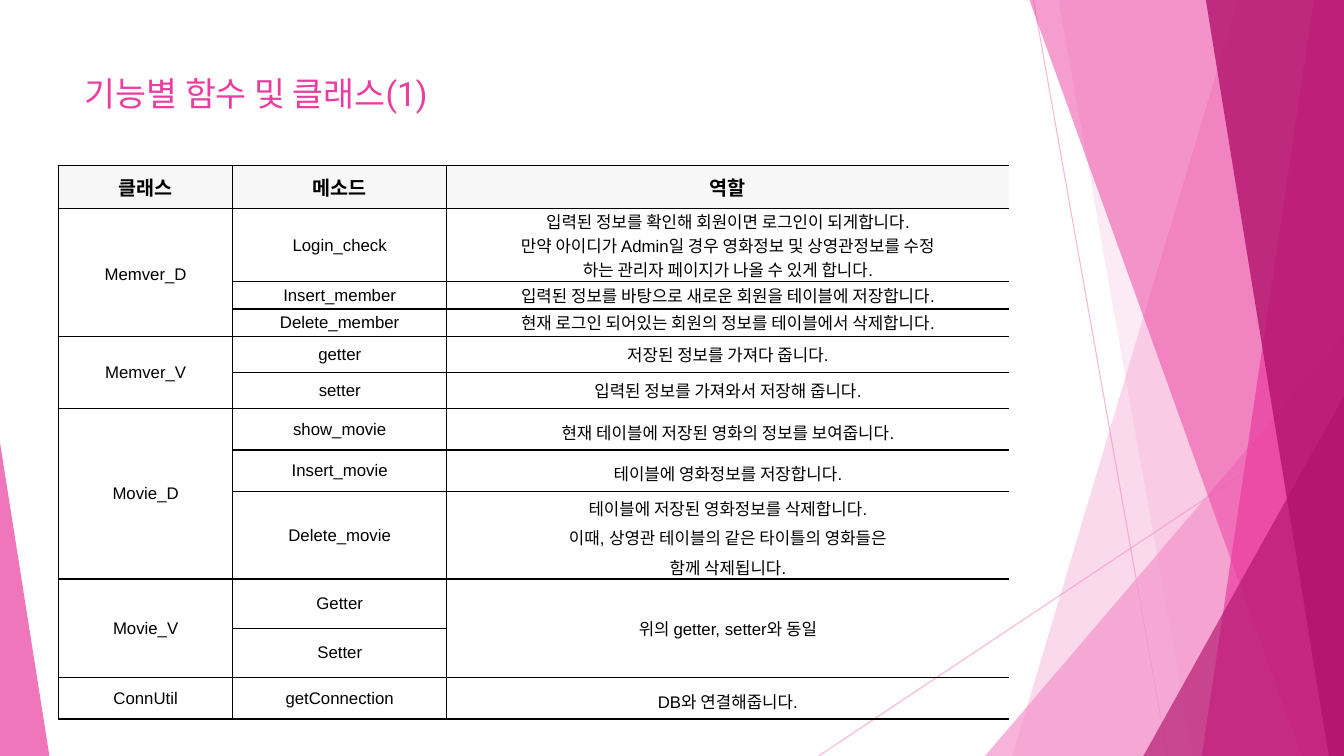
from lxml import etree
from pptx import Presentation, util as u
from pptx.dml import color as c
from pptx.enum import shapes, text
from pptx.oxml import ns

WIDTH, HEIGHT = 13.33, 7.5
PINK, LIGHT, DARK, BLACK = "EB3D9F", "F496CB", "B2136D", "000000"


def paint(fill, color, opacity=100):
    fill.solid()
    fill.fore_color.rgb = c.RGBColor.from_string(color)
    if opacity < 100:
        rgb = fill._xPr.find(".//" + ns.qn("a:srgbClr"))
        etree.SubElement(rgb, ns.qn("a:alpha"), val=str(opacity * 1000))


def add_border(cell, side, visible):
    line = etree.SubElement(cell._tc.get_or_add_tcPr(), ns.qn("a:ln" + side), w=str(u.Pt(1)))
    if visible:
        solid = etree.SubElement(line, ns.qn("a:solidFill"))
        etree.SubElement(solid, ns.qn("a:srgbClr"), val=BLACK)
    else:
        etree.SubElement(line, ns.qn("a:noFill"))


presentation = Presentation()
presentation.slide_width, presentation.slide_height = u.Inches(WIDTH), u.Inches(HEIGHT)
slide = presentation.slides.add_slide(presentation.slide_layouts[5])

for start_x, start_y, end_x, end_y in [(10.25, 0, 11.58, HEIGHT), (WIDTH, 4.03, 8.12, HEIGHT)]:
    ray = slide.shapes.add_connector(
        shapes.MSO_CONNECTOR.STRAIGHT,
        u.Inches(start_x), u.Inches(start_y), u.Inches(end_x), u.Inches(end_y))
    ray.line.width = u.Pt(0.75)
    paint(ray.line.fill, LIGHT, 70)
    etree.SubElement(ray._element.spPr, ns.qn("a:effectLst"))

facets = [
    ("band", (12.28, 10.04), LIGHT, 36),
    ("band", (10.5, 11.83), LIGHT, 20),
    ("triangle", (9.77, 3.33, 3.56, 1), LIGHT, 72),
    ("band", (10.21, 12.91), PINK, 50),
    ("band", (13.03, 11.92), PINK, 70),
    ("band", (11.96, 13.18), DARK, 80),
    ("triangle", (11.34, 3.93, 1.99, 1), DARK, 66),
    ("triangle", (0, 4.39, 0.49, 0), PINK, 70),
]
for kind, geometry, color, opacity in facets:
    if kind == "band":
        top_x, bottom_x = geometry
        builder = slide.shapes.build_freeform(u.Inches(top_x), 0)
        corners = [(WIDTH, 0), (WIDTH, HEIGHT), (bottom_x, HEIGHT)]
        builder.add_line_segments([(u.Inches(x), u.Inches(y)) for x, y in corners], close=True)
        shape = builder.convert_to_shape()
    else:
        left, top, width, apex = geometry
        shape = slide.shapes.add_shape(
            shapes.MSO_SHAPE.ISOSCELES_TRIANGLE,
            u.Inches(left), u.Inches(top), u.Inches(width), u.Inches(HEIGHT - top))
        shape.adjustments[0] = apex
    shape.shadow.inherit = False
    shape.line.fill.background()
    paint(shape.fill, color, opacity)

title = slide.shapes.title
title.left, title.top, title.width, title.height = map(u.Inches, (0.74, 0.67, 9.4, 1.44))
title.text_frame.vertical_anchor = text.MSO_ANCHOR.TOP
paragraph = title.text_frame.paragraphs[0]
paragraph.alignment = text.PP_ALIGN.LEFT
run = paragraph.add_run()
run.text = "기능별 함수 및 클래스(1)"
run.font.name, run.font.size = "Roboto", u.Pt(24)
run.font.color.rgb = c.RGBColor.from_string(PINK)

columns = [1.73, 2.12, 5.58]
rows = [
    (0.43, "클래스", "메소드", "역할"),
    (0.72, "Memver_D", "Login_check",
     "입력된 정보를 확인해 회원이면 로그인이 되게합니다.\n"
     "만약 아이디가 Admin일 경우 영화정보 및 상영관정보를 수정\n"
     "하는 관리자 페이지가 나올 수 있게 합니다."),
    (0.27, "", "Insert_member", "입력된 정보를 바탕으로 새로운 회원을 테이블에 저장합니다."),
    (0.27, "", "Delete_member", "현재 로그인 되어있는 회원의 정보를 테이블에서 삭제합니다."),
    (0.36, "Memver_V", "getter", "저장된 정보를 가져다 줍니다."),
    (0.36, "", "setter", "입력된 정보를 가져와서 저장해 줍니다."),
    (0.41, "Movie_D", "show_movie", "현재 테이블에 저장된 영화의 정보를 보여줍니다."),
    (0.41, "", "Insert_movie", "테이블에 영화정보를 저장합니다."),
    (0.87, "", "Delete_movie",
     "테이블에 저장된 영화정보를 삭제합니다.\n"
     "이때, 상영관 테이블의 같은 타이틀의 영화들은\n"
     "함께 삭제됩니다."),
    (0.49, "Movie_V", "Getter", "위의 getter, setter와 동일"),
    (0.49, "", "Setter", ""),
    (0.41, "ConnUtil", "getConnection", "DB와 연결해줍니다."),
]
spaced_cells = {(1, 0), (6, 2), (7, 2), (8, 2), (11, 2)}
merges = [(0, 1, 3), (0, 4, 5), (0, 6, 8), (0, 9, 10), (2, 9, 10)]

table = slide.shapes.add_table(
    len(rows), len(columns), u.Inches(0.58), u.Inches(1.64),
    u.Inches(sum(columns)), u.Inches(sum(row[0] for row in rows))).table
for index, width in enumerate(columns):
    table.columns[index].width = u.Inches(width)
for column, first, last in merges:
    table.cell(first, column).merge(table.cell(last, column))

for row_index, (height, *contents) in enumerate(rows):
    table.rows[row_index].height = u.Inches(height)
    header = row_index == 0
    for column, content in enumerate(contents):
        cell = table.cell(row_index, column)
        cell.vertical_anchor = text.MSO_ANCHOR.MIDDLE
        cell.margin_left = cell.margin_right = u.Inches(0.1 if header else 0.07)
        cell.margin_top = cell.margin_bottom = u.Inches(0.05 if header else 0)
        for side in "LRTB":
            add_border(cell, side, side != "R" or column < 2)
        if header:
            paint(cell.fill, "F7F7F7")
        else:
            cell.fill.background()
        if not content:
            continue
        for line_index, line in enumerate(content.split("\n")):
            frame = cell.text_frame
            paragraph = frame.add_paragraph() if line_index else frame.paragraphs[0]
            paragraph.alignment = text.PP_ALIGN.CENTER
            if (row_index, column) in spaced_cells:
                paragraph.line_spacing = 1.2
            run = paragraph.add_run()
            run.text = line
            run.font.name, run.font.size = "Arial", u.Pt(14 if header else 12)
            run.font.bold = header
            run.font.color.rgb = c.RGBColor.from_string(BLACK)

presentation.save("out.pptx")
